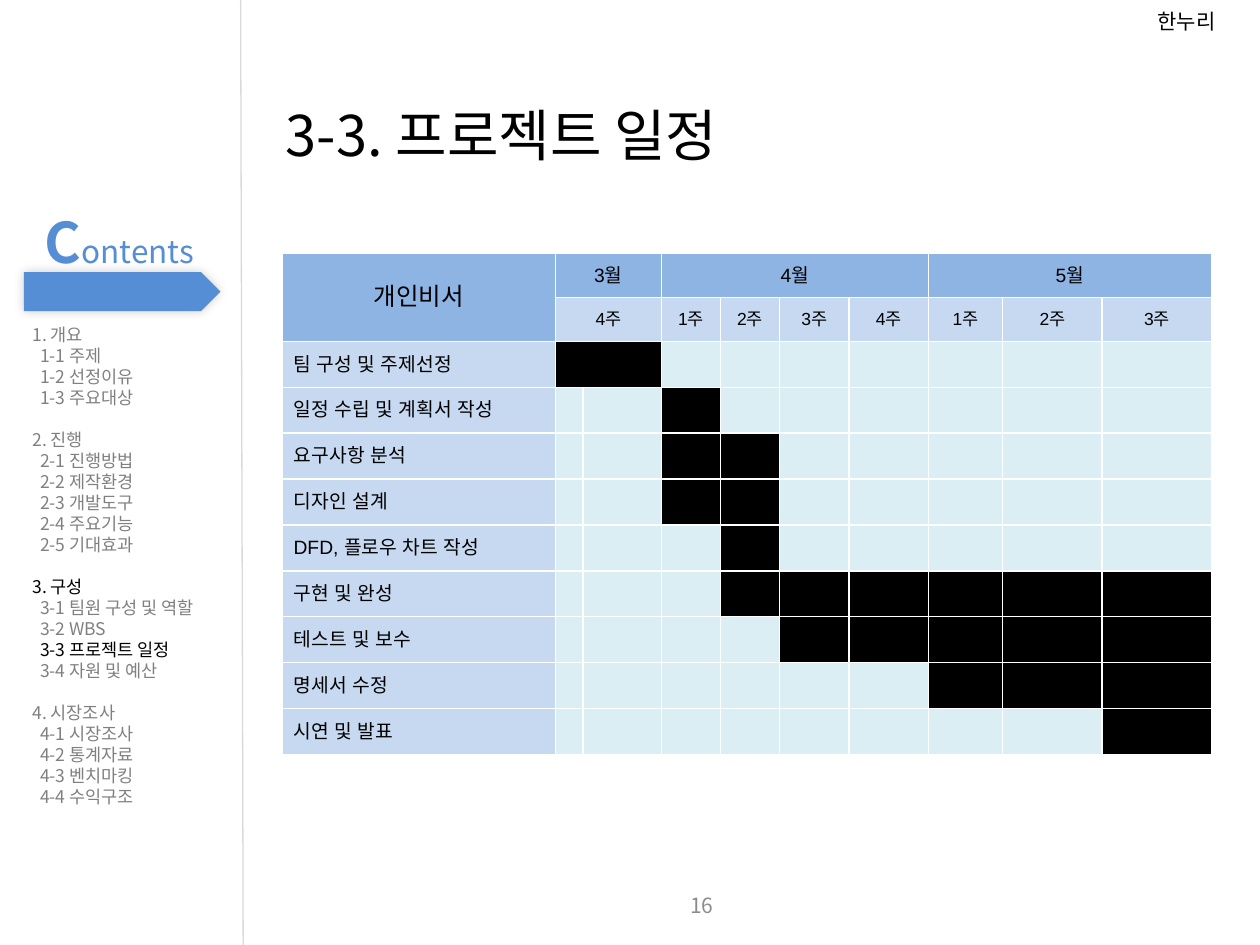
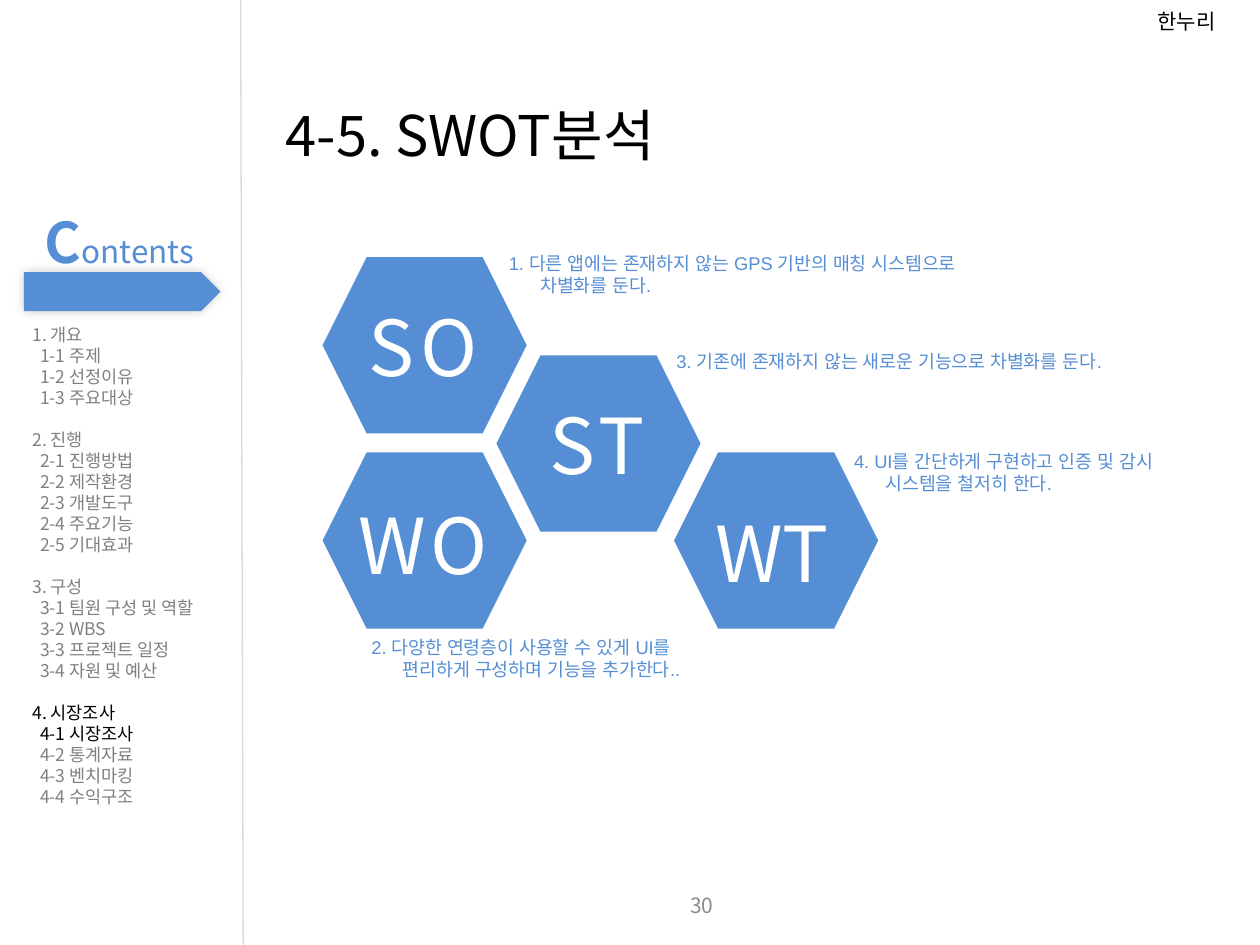
import pptx
import pptx.util
import pptx.dml.color
import pptx.enum.shapes
import pptx.enum.text
import pptx.oxml.ns
from dataclasses import dataclass
from lxml import etree

Inches, Pt = pptx.util.Inches, pptx.util.Pt
SHAPE = pptx.enum.shapes.MSO_SHAPE
ALIGN = pptx.enum.text.PP_ALIGN
MIDDLE = pptx.enum.text.MSO_ANCHOR.MIDDLE
qn = pptx.oxml.ns.qn

BRAND = "한누리"
MENU = [
    ("1. 개요", ["1-1 주제", "1-2 선정이유", "1-3 주요대상"]),
    ("2. 진행", ["2-1 진행방법", "2-2 제작환경", "2-3 개발도구",
               "2-4 주요기능", "2-5 기대효과"]),
    ("3. 구성", ["3-1 팀원 구성 및 역할", "3-2 WBS", "3-3 프로젝트 일정",
               "3-4 자원 및 예산"]),
    ("4. 시장조사", ["4-1 시장조사", "4-2 통계자료", "4-3 벤치마킹", "4-4 수익구조"]),
]
PLAN = {"title": "3-3. 프로젝트 일정", "page": "16",
        "active": ("3. 구성", "3-3 프로젝트 일정")}
SWOT = {"title": "4-5. SWOT분석", "page": "30",
        "active": ("4. 시장조사", "4-1 시장조사")}

# Each span is (text, first column, last column).
MONTHS = [("3월", 1, 2), ("4월", 3, 6), ("5월", 7, 9)]
WEEKS = [("4주", 1, 2), ("1주", 3, 3), ("2주", 4, 4), ("3주", 5, 5),
         ("4주", 6, 6), ("1주", 7, 7), ("2주", 8, 8), ("3주", 9, 9)]
TASKS = [("팀 구성 및 주제선정", 1, 2), ("일정 수립 및 계획서 작성", 3, 3),
         ("요구사항 분석", 3, 4), ("디자인 설계", 3, 4),
         ("DFD, 플로우 차트 작성", 4, 4), ("구현 및 완성", 4, 9),
         ("테스트 및 보수", 5, 9), ("명세서 수정", 7, 9), ("시연 및 발표", 9, 9)]
COLS = [2.17, 0.21, 0.62, 0.47, 0.47, 0.55, 0.63, 0.59, 0.79, 0.87]
HEAD, ROW = 0.35, 3.28 / 9

# Hexagon corner, drop of its letters, and each letter with its shift.
HEXES = [
    (2.56, 2.04, 0.23, [("S", 0.27), ("O", 0.68)]),
    (3.94, 2.82, 0.23, [("S", 0.32), ("T", 0.71)]),
    (5.35, 3.59, 0.32, [("W", 0.23), ("T", 0.76)]),
    (2.56, 3.59, 0.25, [("W", 0.19), ("O", 0.76)]),
]
NOTES = [
    (3.94, 1.95, 4.13, "1. 다른 앱에는 존재하지 않는 GPS 기반의 매칭 시스템으로 차별화를 둔다."),
    (2.85, 5, 2.73, "2. 다양한 연령층이 사용할 수 있게 UI를 편리하게 구성하며 기능을 추가한다.."),
    (5.27, 2.73, 3.75, "3. 기존에 존재하지 않는 새로운 기능으로 차별화를 둔다."),
    (6.68, 3.52, 3.12, "4. UI를 간단하게 구현하고 인증 및 감시 시스템을 철저히 한다."),
]


@dataclass(frozen=True)
class Theme:
    sans: str = "Noto Sans CJK KR"
    body: str = "Arial"
    blue: str = "558ED5"
    month: str = "8EB4E3"
    label: str = "C6D9F1"
    blank: str = "DBEEF4"
    ink: str = "000000"
    white: str = "FFFFFF"
    gray: str = "808080"
    pale: str = "8C8C8C"
    rule: str = "D9D9D9"
    title: float = 32
    letter: float = 44
    logo: float = 18
    corner: float = 14
    small: float = 12
    cell: float = 11
    note: float = 10.5
    menu: float = 10


T = Theme()


def rgb(color):
    return pptx.dml.color.RGBColor.from_string(color)


def style(para, size, color, face=T.sans, align=ALIGN.LEFT):
    """Set the paragraph font for Latin and Korean letters alike."""
    para.alignment = align
    font = para.font
    font.size, font.name = Pt(size), face
    font.color.rgb = rgb(color)
    props = para._p.pPr.find(qn("a:defRPr"))
    etree.SubElement(props, qn("a:ea")).set("typeface", face)
    if face == T.sans:
        para.line_spacing = Pt(size * 1.2)


def frame(slide, x, y, w, h, size=0):
    """Add an empty box; size lowers the text to suit its fixed line height."""
    box = slide.shapes.add_textbox(Inches(x), Inches(y), Inches(w), Inches(h))
    text = box.text_frame
    text.word_wrap = True
    text.margin_top = Inches(0.05) + Pt(size * 0.09)
    return text


def write(slide, x, y, w, h, words, size, color, align=ALIGN.LEFT):
    para = frame(slide, x, y, w, h, size).paragraphs[0]
    para.text = words
    style(para, size, color, align=align)
    return para


def solid(slide, kind, x, y, w, h):
    shape = slide.shapes.add_shape(kind, Inches(x), Inches(y), Inches(w), Inches(h))
    shape.shadow.inherit = False
    shape.fill.solid()
    shape.fill.fore_color.rgb = rgb(T.blue)
    shape.line.fill.background()
    return shape


def glow(shape):
    """Give the shape a soft shadow."""
    effects = shape._element.spPr.find(qn("a:effectLst"))
    shade = etree.SubElement(effects, qn("a:outerShdw"), blurRad=str(Pt(6)),
                             dist="0", dir=str(315 * 60000), rotWithShape="0")
    tone = etree.SubElement(shade, qn("a:srgbClr"), val=T.ink)
    etree.SubElement(tone, qn("a:alpha"), val="20000")


def menu(slide, active):
    text = frame(slide, 0.16, 2.51, 2.27, 4.14, T.menu)
    para = text.paragraphs[0]
    for index, (head, items) in enumerate(MENU):
        for depth, words in [(0, head)] + [(1, item) for item in items]:
            if index or depth:
                para = text.add_paragraph()
            para.text = words
            style(para, T.menu, T.ink if words in active else T.gray)
            if depth:
                para._p.pPr.set("marL", str(Inches(0.06)))
            elif index:
                para.space_before = Pt(T.menu * 1.2)


def base(deck, info):
    """Start a slide with the sidebar, title, brand and page number."""
    slide = deck.slides.add_slide(deck.slide_layouts[6])
    write(slide, 9.09, 0, 0.9, 0.3, BRAND, T.small, T.ink)
    write(slide, 3.43, 7.02, 2.33, 0.3, info["page"], T.small, T.pale, ALIGN.RIGHT)
    write(slide, 2.17, 0.71, 4.24, 0.64, info["title"], T.title, T.ink)
    glow(solid(slide, SHAPE.PENTAGON, 0.19, 2.16, 1.56, 0.31))
    logo = write(slide, 0.14, 1.56, 1.5, 0.64, "C", T.title, T.blue, ALIGN.RIGHT)
    logo.runs[0].font.bold = True
    rest = logo.add_run()
    rest.text, rest.font.size = "ontents", Pt(T.logo)
    menu(slide, info["active"])
    line = slide.shapes.add_connector(pptx.enum.shapes.MSO_CONNECTOR.STRAIGHT,
                                      Inches(1.93), Inches(7.5), Inches(1.91), 0)
    line.line.color.rgb, line.line.width = rgb(T.rule), Pt(0.75)
    etree.SubElement(line._element.spPr, qn("a:effectLst"))
    return slide


def paint(cell, fill, words="", size=T.cell, align=ALIGN.CENTER):
    cell.margin_left = cell.margin_right = Inches(0.09)
    cell.margin_top = cell.margin_bottom = Inches(0.04)
    cell.vertical_anchor = MIDDLE
    para = cell.text_frame.paragraphs[0]
    para.text = words
    style(para, size, T.ink, T.body, align)
    props = cell._tc.get_or_add_tcPr()
    for side in ("lnL", "lnR", "lnT", "lnB"):
        if props.find(qn("a:" + side)) is None:
            edge = etree.SubElement(props, qn("a:" + side), w=str(Pt(1)))
            paper = etree.SubElement(edge, qn("a:solidFill"))
            etree.SubElement(paper, qn("a:srgbClr"), val=T.white)
    cell.fill.solid()
    cell.fill.fore_color.rgb = rgb(fill)


def chart(slide):
    """Draw the schedule as a table with filled bars."""
    grid = slide.shapes.add_table(
        len(TASKS) + 2, len(COLS), Inches(2.24), Inches(2.01),
        Inches(sum(COLS)), Inches(2 * HEAD + ROW * len(TASKS))).table
    for col, width in zip(grid.columns, COLS):
        col.width = Inches(width)
    for index, row in enumerate(grid.rows):
        row.height = Inches(HEAD if index < 2 else ROW)
        for cell in row.cells:
            paint(cell, T.blank)
    grid.cell(0, 0).merge(grid.cell(1, 0))
    paint(grid.cell(0, 0), T.month, "개인비서", T.corner)
    heads = [(MONTHS, T.month, T.cell), (WEEKS, T.label, T.menu)]
    for row, (spans, fill, size) in enumerate(heads):
        for words, first, last in spans:
            if last > first:
                grid.cell(row, first).merge(grid.cell(row, last))
            paint(grid.cell(row, first), fill, words, size)
    for row, (words, first, last) in enumerate(TASKS, 2):
        paint(grid.cell(row, 0), T.label, words, align=ALIGN.LEFT)
        for col in range(first, last + 1):
            paint(grid.cell(row, col), T.ink)
    grid.cell(2, 1).merge(grid.cell(2, 2))


def comb(slide):
    """Draw the lettered hexagons and the strategy notes."""
    for x, y, *_ in HEXES:
        solid(slide, SHAPE.HEXAGON, x, y, 1.62, 1.4)
    for x, y, drop, marks in HEXES:
        for mark, shift in marks:
            write(slide, x + shift, y + drop, 0.86, 0.84, mark, T.letter, T.white)
    for x, y, w, words in NOTES:
        para = frame(slide, x, y, w, 0.45).paragraphs[0]
        para.text = words
        style(para, T.note, T.blue, T.body)
        para._p.pPr.set("marL", str(Inches(0.25)))
        para._p.pPr.set("indent", str(-Inches(0.25)))


def main():
    deck = pptx.Presentation()
    deck.slide_width, deck.slide_height = Inches(10), Inches(7.5)
    chart(base(deck, PLAN))
    comb(base(deck, SWOT))
    deck.save("out.pptx")


if __name__ == "__main__":
    main()
